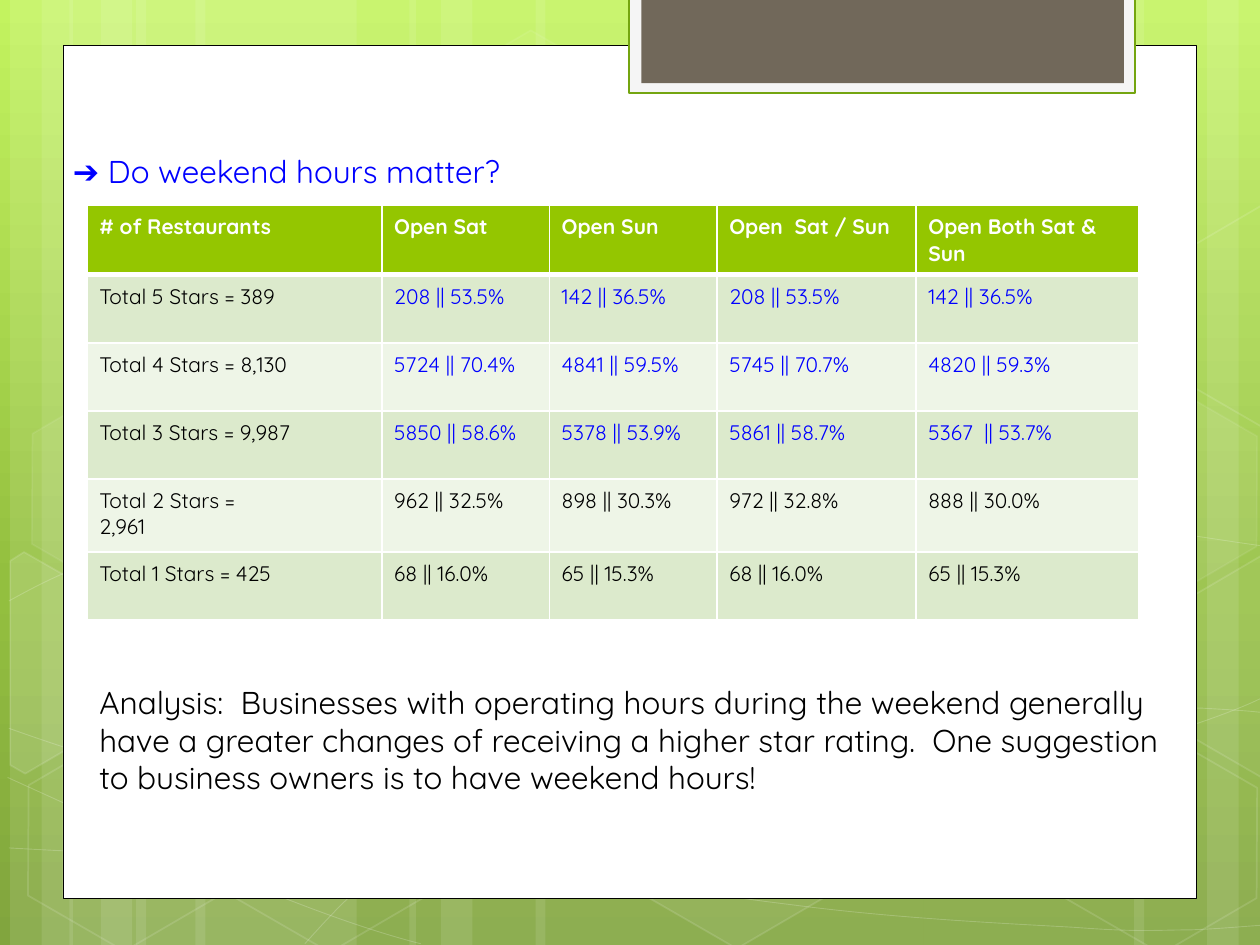
from copy import deepcopy
from math import cos, radians, sin
from lxml.etree import SubElement
from pptx import Presentation
from pptx.dml.color import RGBColor
from pptx.enum.shapes import MSO_SHAPE
from pptx.oxml.ns import qn
from pptx.util import Cm, Pt

INK = {"white": "FFFFFF", "black": "000000", "blue": "0000FF", "head": "94C600",
       "odd": "DCEACC", "even": "EEF5E7", "tab": "F5F5F5", "edge": "74A510",
       "brown": "71685A"}
FADE = [("C3F35F", 0), ("93BF3F", 0.62), ("81A53E", 1)]
FONT = "Quicksand"

TITLE = "➔ Do weekend hours matter?"
NOTE = ("Analysis:  Businesses with operating hours during the weekend generally "
        "have a greater changes of receiving a higher star rating.  One suggestion "
        "to business owners is to have weekend hours!")
ROWS = [
    ["# of Restaurants", "Open Sat", "Open Sun", "Open  Sat / Sun", "Open Both Sat & Sun"],
    ["Total 5 Stars = 389", "208 || 53.5%", "142 || 36.5%", "208 || 53.5%", "142 || 36.5%"],
    ["Total 4 Stars = 8,130", "5724 || 70.4%", "4841 || 59.5%", "5745 || 70.7%", "4820 || 59.3%"],
    ["Total 3 Stars = 9,987", "5850 || 58.6%", "5378 || 53.9%", "5861 || 58.7%", "5367  || 53.7%"],
    ["Total 2 Stars =\n2,961", "962 || 32.5%", "898 || 30.3%", "972 || 32.8%", "888 || 30.0%"],
    ["Total 1 Stars = 425", "68 || 16.0%", "65 || 15.3%", "68 || 16.0%", "65 || 15.3%"],
]
WIDTHS = [2.34, 1.33, 1.33, 1.58, 1.77]
HEIGHTS = [0.54, 0.54, 0.54, 0.54, 0.58, 0.54]
BLUE_ROWS = (1, 2, 3)

STRIPES = [(1.08, 1.75, 0), (0.08, 0.5, 0), (0.33, 0.83, 0), (1.55, 1.75, 0),
           (0.55, 0.5, 0), (0.8, 0.83, 0), (7.33, 1.75, 180), (9.58, 0.5, 180),
           (9, 0.83, 180), (4.25, 3.08, 0), (3.25, 0.5, 0), (3.5, 0.83, 0)]
CURVES = [
    [(0.07, 6.73), (0.61, 6.76), (1.15, 6.79), (1.9, 6.78), (2.65, 6.77), (3.58, 6.75),
     (4.58, 6.65), (5.58, 6.55), (7, 6.36), (7.92, 6.17), (8.83, 5.98), (9.77, 5.68),
     (10.07, 5.51)],
    [(0.07, 4.77), (0.36, 4.61), (0.65, 4.46), (1.21, 4.31), (1.78, 4.16), (2.59, 3.94),
     (3.47, 3.87), (4.36, 3.8), (5.44, 3.79), (6.54, 3.87), (7.64, 3.95), (9.47, 4.26),
     (10.07, 4.34)],
    [(0.06, 6.17), (1.27, 6.72), (2.47, 7.27), (3.34, 7.49)],
    [(0.07, 5.78), (0.38, 5.89), (0.7, 6), (1.28, 6.16), (1.86, 6.31), (2.73, 6.56),
     (3.57, 6.73), (4.4, 6.9), (5.45, 7.08), (6.28, 7.18), (7.11, 7.29), (8, 7.33),
     (8.53, 7.36), (9.05, 7.4), (9.19, 7.38), (9.45, 7.38), (9.71, 7.37), (9.89, 7.35),
     (10.07, 7.34)],
    [(2.42, 7.49), (2.6, 7.29), (2.78, 7.09), (3.02, 6.91), (3.26, 6.73), (3.6, 6.53),
     (3.88, 6.39), (4.16, 6.25), (4.33, 6.19), (4.7, 6.09), (5.06, 5.99), (5.73, 5.85),
     (6.08, 5.78), (6.44, 5.71), (6.49, 5.71), (6.8, 5.69), (7.11, 5.66), (7.6, 5.63),
     (7.94, 5.62), (8.29, 5.61), (8.86, 5.62), (8.86, 5.62), (8.86, 5.62), (9.53, 5.62),
     (9.53, 5.62), (9.71, 5.63), (9.88, 5.64), (9.97, 5.65), (10.06, 5.66), (10.03, 5.65),
     (10.06, 5.66)],
]
HEXES = [(3.34, 0.36, 4, 8), (4.97, 5.89, 6, 12), (0.11, 5.91, 0, 12), (0.14, 3.12, 7, 8),
         (1.74, 5.92, 0, 12), (7.53, 4.53, 10, 12), (8.34, 5.93, 0, 12), (8.34, 3.14, 7, 8)]
TILT = 30
PARTS = [
    ([(0.08, 4.45), (0.19, 4.38), (0.96, 4.82), (0.95, 5.7), (0.2, 6.14), (0.08, 6.07)],
     (0.36, 5.35), 10),
    ([(9.26, 4.85), (10.01, 4.41), (10.09, 4.46), (10.09, 6.13), (10.02, 6.17), (9.26, 5.73)],
     (9.85, 5.2), 4),
    ([(9.26, 2.07), (10.01, 1.63), (10.1, 1.68), (10.09, 3.35), (10.02, 3.39), (9.26, 2.95)],
     (9.85, 2.41), 0),
]
PANELS = [((0.5, 0.36, 9, 6.77), "white", "black", 0.5),
          ((4.99, -0.02, 4.02, 0.76), "tab", "edge", 1.25),
          ((5.09, -0.02, 3.83, 0.68), "brown", None, 0)]

deck = Presentation()
GRAIN = 1000


def size(*vals):
    return [Cm(v * 2.54) for v in vals]


deck.slide_width, deck.slide_height = size(10, 7.5)
slide = deck.slides.add_slide(deck.slide_layouts[6])
shapes = slide.shapes


def tint(fill, name, alpha=100):
    fill.solid()
    fill.fore_color.rgb = RGBColor.from_string(INK[name])
    if alpha < 100:
        color = fill.fore_color._xFill.find(qn("a:srgbClr"))
        SubElement(color, qn("a:alpha"), val=str(alpha * 1000))


def style(shape, fill=None, alpha=100, line=None, width=1, fade=100):
    shape.shadow.inherit = False
    if fill and alpha:
        tint(shape.fill, fill, alpha)
    else:
        shape.fill.background()
    if line:
        tint(shape.line.fill, line, fade)
        shape.line.width = Pt(width)
    else:
        shape.line.fill.background()


def draw(points, close):
    grid = [(round(x * GRAIN), round(y * GRAIN)) for x, y in points]
    pen = shapes.build_freeform(*grid[0], scale=Cm(2.54) / GRAIN)
    pen.add_line_segments(grid[1:], close=close)
    return pen.convert_to_shape()


def curve(points):
    shape = draw(points, False)
    route = next(shape._element.iter(qn("a:path")))
    lines = route.findall(qn("a:lnTo"))
    for i in range(0, len(lines), 3):
        bend = SubElement(route, qn("a:cubicBezTo"))
        for line in lines[i:i + 3]:
            bend.append(line[0])
            route.remove(line)
    return shape


def turn(points, mid):
    c, s = cos(radians(TILT)), sin(radians(TILT))
    near = [(x - mid[0], y - mid[1]) for x, y in points]
    return [(mid[0] + x * c + y * s, mid[1] - x * s + y * c) for x, y in near]


def write(frame, text, points=18, color="black", bold=False):
    frame.word_wrap = True
    frame.text = text
    for para in frame.paragraphs:
        for run in para.runs:
            run.font.name, run.font.size, run.font.bold = FONT, Pt(points), bold
            run.font.color.rgb = RGBColor.from_string(INK[color])


def border(cell, **widths):
    props = cell._tc.get_or_add_tcPr()
    for side in "LRTB":
        line = SubElement(props, qn("a:ln" + side), w=str(Pt(widths.get(side, 1))))
        SubElement(SubElement(line, qn("a:solidFill")), qn("a:srgbClr"), val=INK["white"])


back = slide.background.fill
back.gradient()
back.gradient_angle = 270
first = back.gradient_stops[0]._gs
first.addnext(deepcopy(first))
for stop, (color, place) in zip(back.gradient_stops, FADE):
    stop.color.rgb = RGBColor.from_string(color)
    stop.position = place

for left, width, angle in STRIPES:
    stripe = shapes.add_shape(MSO_SHAPE.RECTANGLE, *size(left, 0, width, 7.5))
    stripe.rotation = angle
    style(stripe, "white", 10)
for points in CURVES:
    style(curve(points), line="white", width=0.5, fade=20)
for left, top, alpha, fade in HEXES:
    hexa = shapes.add_shape(MSO_SHAPE.HEXAGON, *size(left, top, 1.75, 1.52))
    hexa.rotation = TILT
    hexa.adjustments[0], hexa.adjustments[1] = 0.285, 1.155
    style(hexa, "white", alpha, "white", fade=fade)
for points, mid, alpha in PARTS:
    part = draw(turn(points, mid), True)
    part.rotation = TILT
    style(part, "white", alpha, "white", fade=12)
for box, fill, line, width in PANELS:
    style(shapes.add_shape(MSO_SHAPE.RECTANGLE, *size(*box)), fill, line=line, width=width)

table = shapes.add_table(len(ROWS), len(WIDTHS),
                         *size(0.69, 1.63, sum(WIDTHS), sum(HEIGHTS))).table
for column, width in zip(table.columns, size(*WIDTHS)):
    column.width = width
for r, (row, height) in enumerate(zip(ROWS, size(*HEIGHTS))):
    table.rows[r].height = height
    for c, text in enumerate(row):
        cell = table.cell(r, c)
        cell.margin_left = cell.margin_right = Cm(0.25)
        cell.margin_top = cell.margin_bottom = Cm(0.17)
        border(cell, B=3 if r == 0 else 1, T=3 if r == 1 else 1)
        tint(cell.fill, "head" if r == 0 else "odd" if r % 2 else "even")
        color = "white" if r == 0 else "blue" if c and r in BLUE_ROWS else "black"
        write(cell.text_frame, text, points=12, color=color, bold=r == 0)

for box, text, color in [((0.69, 5.37, 8.72, 1.01), NOTE, "black"),
                         ((0.48, 1.16, 8.72, 0.4), TITLE, "blue")]:
    write(shapes.add_textbox(*size(*box)).text_frame, text, color=color)

deck.save("out.pptx")
